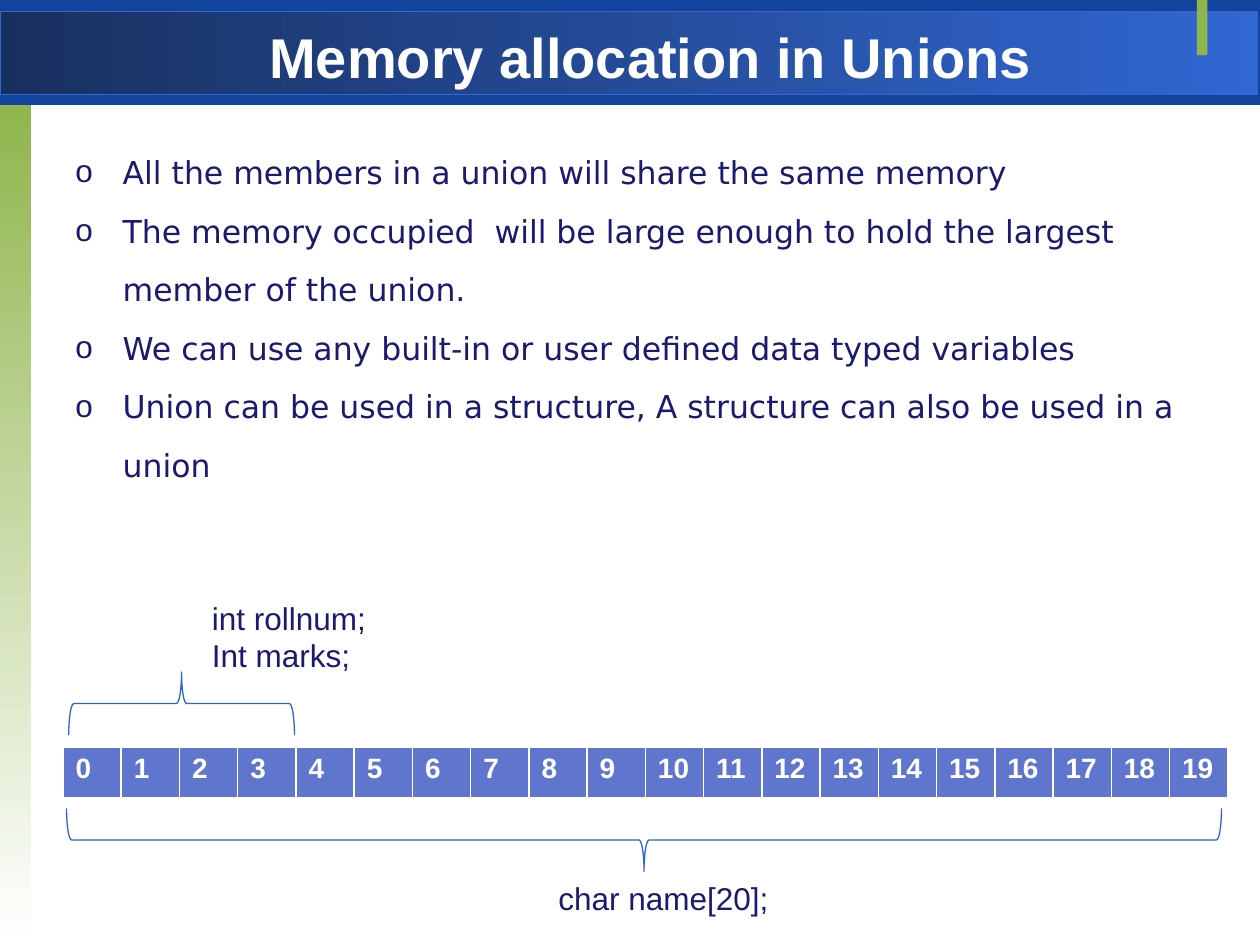
from lxml import etree
from pptx import Presentation
from pptx.dml.color import RGBColor
from pptx.enum.shapes import MSO_SHAPE
from pptx.enum.text import MSO_ANCHOR, PP_ALIGN
from pptx.oxml.ns import qn
from pptx.util import Pt

RECTANGLE, BRACE = MSO_SHAPE.RECTANGLE, MSO_SHAPE.RIGHT_BRACE
TOP, CENTER = MSO_ANCHOR.TOP, PP_ALIGN.CENTER
COLORS = {
    "band": "12449E", "title_dark": "18305F", "title_light": "3167D3",
    "green": "90B54D", "white": "FFFFFF", "text": "1A1A70",
    "cell": "6075CE", "brace": "2C63D2",
}
RGB = {name: RGBColor.from_string(value) for name, value in COLORS.items()}

deck = Presentation()
deck.slide_width, deck.slide_height = Pt(720), Pt(540)
page = deck.slides.add_slide(deck.slide_layouts[6])


def add_panel(left, top, width, height, colors, angle=0):
    """Add a rectangle filled with one colour or a two-colour gradient."""
    panel = page.shapes.add_shape(RECTANGLE, Pt(left), Pt(top), Pt(width), Pt(height))
    panel.shadow.inherit = False
    panel.line.fill.background()
    if len(colors) == 1:
        panel.fill.solid()
        panel.fill.fore_color.rgb = RGB[colors[0]]
    else:
        panel.fill.gradient()
        panel.fill.gradient_angle = angle
        for stop, color in zip(panel.fill.gradient_stops, colors):
            stop.color.rgb = RGB[color]
    return panel


def add_text(left, top, width, height, lines, size=18, font="Arial",
             color="text", bold=False, wrap=False):
    box = page.shapes.add_textbox(Pt(left), Pt(top), Pt(width), Pt(height))
    frame = box.text_frame
    frame.word_wrap = wrap
    frame.vertical_anchor = TOP
    for index, line in enumerate(lines):
        para = frame.add_paragraph() if index else frame.paragraphs[0]
        span = para.add_run()
        span.text = line
        span.font.size, span.font.name, span.font.bold = Pt(size), font, bold
        span.font.color.rgb = RGB[color]
    return frame


# Header and side decoration
add_panel(0, 0, 720, 60, ["band"])
title_bar = add_panel(0, 6.5, 718.5, 47.5, ["title_dark", "title_light"])
title_bar.line.color.rgb = RGB["title_light"]
title_bar.line.width = Pt(0.75)
add_panel(0, 60, 18, 478, ["green", "white"], angle=270)
add_panel(684, 0, 6, 31.5, ["green"])

title = add_text(102, 6, 540, 42, ["Memory allocation in Unions"],
                 size=32, color="white", bold=True, wrap=True)
title.margin_top = Pt(7)
title.paragraphs[0].alignment = CENTER

# Bulleted points
points = add_text(36, 72, 672, 192, [
    "All the members in a union will share the same memory",
    "The memory occupied  will be large enough to hold the largest member of the union.",
    "We can use any built-in or user defined data typed variables",
    "Union can be used in a structure, A structure can also be used in a union",
], font="DejaVu Sans", wrap=True)
for para in points.paragraphs:
    para.line_spacing = 1.55
    properties = para._p.get_or_add_pPr()
    properties.set("marL", str(Pt(27)))
    properties.set("indent", str(Pt(-27)))
    etree.SubElement(properties, qn("a:buFont")).set("typeface", "Arial")
    etree.SubElement(properties, qn("a:buChar")).set("char", "o")

# Memory strip: one cell per byte
BYTES = 20
memory = page.shapes.add_table(1, BYTES, Pt(36), Pt(427), Pt(666), Pt(29.5)).table
memory.first_row = memory.horz_banding = False
memory.rows[0].height = Pt(29.5)
for byte in range(BYTES):
    memory.columns[byte].width = Pt(33.3)
    cell = memory.cell(0, byte)
    cell_properties = cell._tc.get_or_add_tcPr()
    for side, width in (("L", 1), ("R", 1), ("T", 1), ("B", 3)):
        border = etree.SubElement(cell_properties, qn("a:ln" + side), w=str(Pt(width)))
        border_fill = etree.SubElement(border, qn("a:solidFill"))
        etree.SubElement(border_fill, qn("a:srgbClr")).set("val", COLORS["white"])
    cell.fill.solid()
    cell.fill.fore_color.rgb = RGB["cell"]
    span = cell.text_frame.paragraphs[0].add_run()
    span.text = str(byte)
    span.font.size, span.font.name, span.font.bold = Pt(16), "Arial", True
    span.font.color.rgb = RGB["white"]

# Braces spanning the bytes of each member: left, top, length, rotation
for left, top, length, rotation in ((350, 150, 660, 90), (85.75, 337.5, 129, 270)):
    brace = page.shapes.add_shape(BRACE, Pt(left), Pt(top), Pt(36), Pt(length))
    brace.rotation = rotation
    brace.adjustments[0], brace.adjustments[1] = 0.08, 0.5
    brace.shadow.inherit = False
    brace.fill.background()
    brace.line.color.rgb = RGB["brace"]
    brace.line.width = Pt(0.75)

add_text(312, 499, 135, 29, ["char name[20];"])
add_text(114, 338.5, 104, 51, ["int rollnum;", "Int marks;"])

deck.save("out.pptx")
